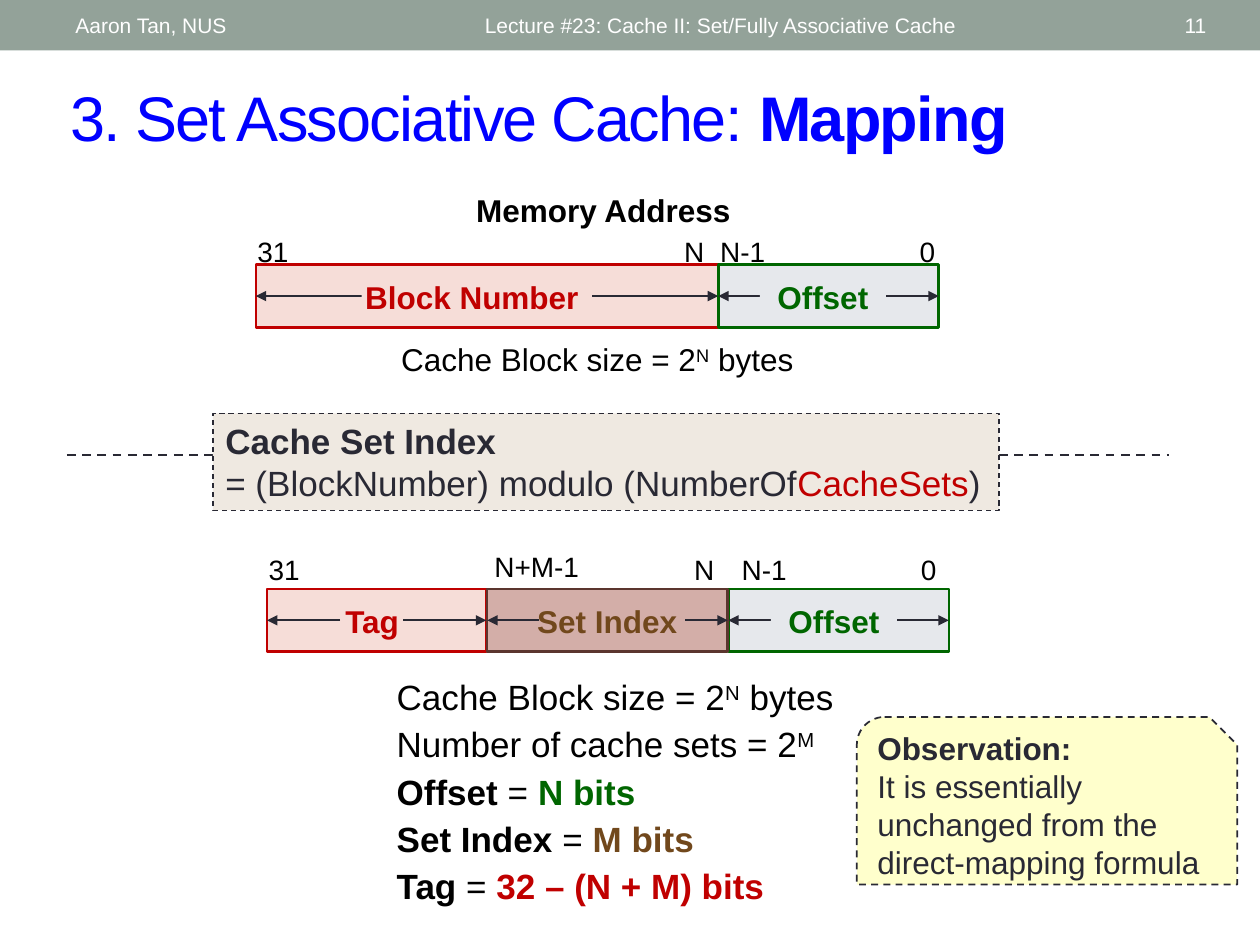
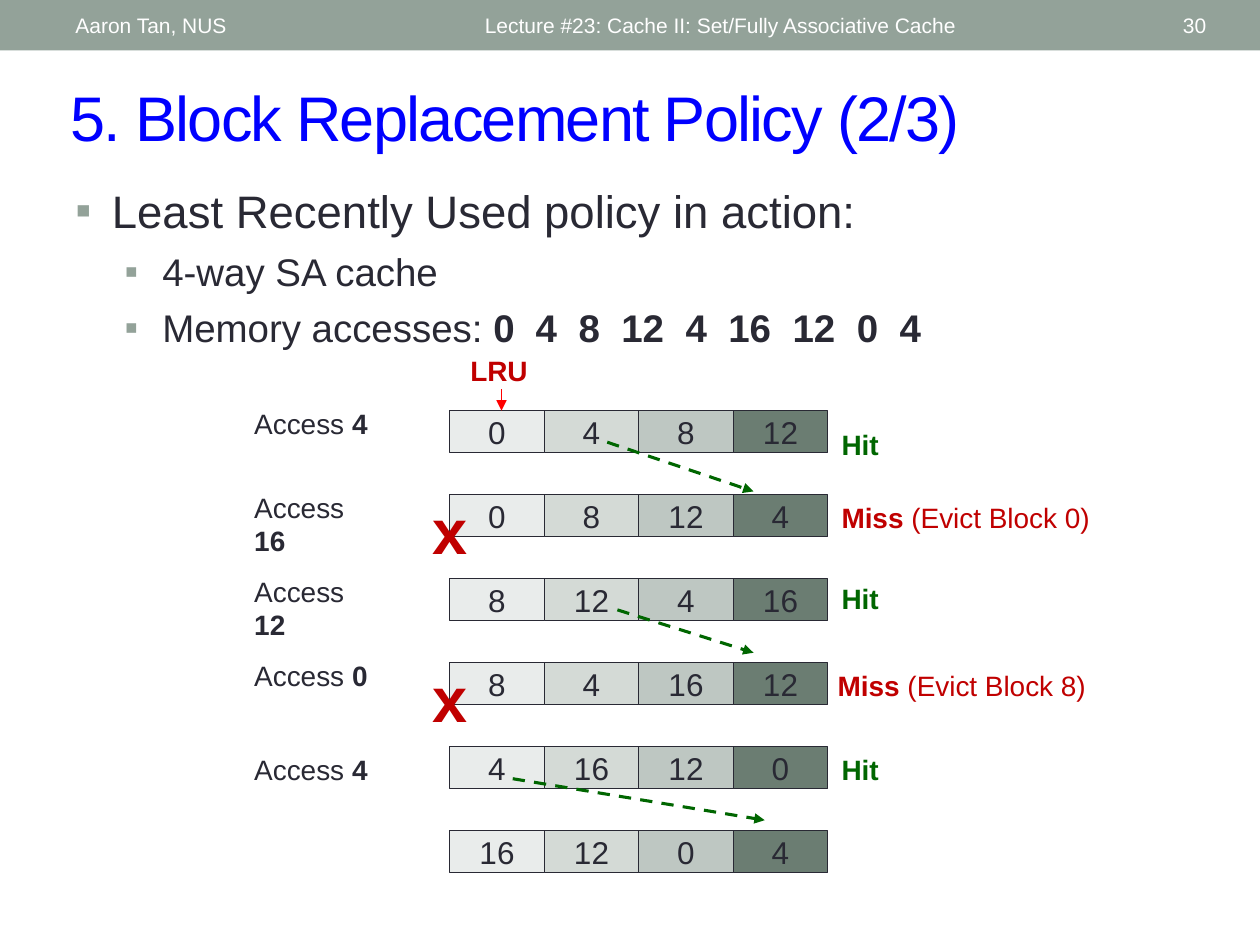
from dataclasses import dataclass
from itertools import accumulate
from typing import Optional

from lxml.etree import SubElement
from pptx import Presentation
from pptx.dml.color import RGBColor
from pptx.enum.dml import MSO_LINE
from pptx.enum.shapes import MSO_CONNECTOR, MSO_SHAPE
from pptx.enum.text import MSO_ANCHOR, MSO_AUTO_SIZE, PP_ALIGN
from pptx.oxml.ns import qn
from pptx.util import Pt

FONT = "Arial"
BAND = RGBColor(0x93, 0xA2, 0x99)
WHITE = RGBColor(0xFF, 0xFF, 0xFF)
BLACK = RGBColor(0, 0, 0)
BLUE = RGBColor(0, 0, 0xFF)
INK = RGBColor(0x29, 0x29, 0x34)
RED = RGBColor(0xC0, 0, 0)
BRIGHT_RED = RGBColor(0xFF, 0, 0)
GREEN = RGBColor(0, 0x66, 0)
BROWN = RGBColor(0x71, 0x48, 0x1C)
DARK_BROWN = RGBColor(0x5B, 0x35, 0x2E)
PINK = RGBColor(0xF6, 0xDD, 0xD8)
ROSE = RGBColor(0xD3, 0xAE, 0xA8)
PALE_GRAY = RGBColor(0xE6, 0xE8, 0xEC)
BEIGE = RGBColor(0xEF, 0xE9, 0xE1)
YELLOW = RGBColor(0xFF, 0xFF, 0xCC)
AGE_FILLS = [RGBColor(0xE9, 0xEC, 0xEB), RGBColor(0xD4, 0xDA, 0xD6),
             RGBColor(0xBE, 0xC7, 0xC2), RGBColor(0x6B, 0x7D, 0x72)]

CELL_LEFT, CELL_WIDTH, CELL_HEIGHT = 257, 54, 24
CACHE_TOP, CACHE_STEP = 234.6, 48


@dataclass
class Run:
    text: str
    color: RGBColor = BLACK
    bold: bool = False
    superscript: bool = False


@dataclass
class Box:
    left: float
    top: float
    width: float
    height: float

    def lengths(self) -> list:
        return [Pt(value) for value in (self.left, self.top, self.width, self.height)]


@dataclass
class Field:
    """A part of an address; without a gap one line runs behind its filled label."""
    name: str
    left: float
    width: float
    fill: RGBColor
    line: RGBColor
    color: RGBColor
    label_left: float
    label_width: float
    gap: Optional[tuple] = None


@dataclass
class BitLabel:
    text: str
    left: float
    width: float
    rise: float = 0


@dataclass
class Access:
    block: str
    cache: list
    result: list
    label_shift: float = -6
    result_shift: float = 0
    result_left: float = 473.8


def add_run(paragraph, run: Run, size: float):
    text_run = paragraph.add_run()
    text_run.text = run.text
    font = text_run.font
    font.name, font.size, font.bold = FONT, Pt(size), run.bold
    font.color.rgb = run.color
    properties = text_run._r.get_or_add_rPr()
    if run.superscript:
        properties.set("baseline", "30000")
    return properties


def write(shape, lines: list, size: float, align=PP_ALIGN.LEFT, wrap=False,
          anchor=MSO_ANCHOR.TOP, gap: float = 0) -> None:
    frame = shape.text_frame
    frame.word_wrap, frame.vertical_anchor = wrap, anchor
    for number, runs in enumerate(lines):
        paragraph = frame.add_paragraph() if number else frame.paragraphs[0]
        paragraph.alignment = align
        if number and gap:
            paragraph.space_before = Pt(gap)
        for run in runs:
            add_run(paragraph, run, size)


def add_text(slide, box: Box, lines: list, size: float, **options):
    shape = slide.shapes.add_textbox(*box.lengths())
    write(shape, lines, size, **options)
    return shape


def add_box(slide, box: Box, fill: RGBColor, line: Optional[RGBColor] = None,
            width: float = 0.75, dashed=False, kind=MSO_SHAPE.RECTANGLE):
    shape = slide.shapes.add_shape(kind, *box.lengths())
    shape.shadow.inherit = False
    shape.fill.solid()
    shape.fill.fore_color.rgb = fill
    if line is None:
        shape.line.fill.background()
    else:
        shape.line.color.rgb = line
        shape.line.width = Pt(width)
        if dashed:
            shape.line.dash_style = MSO_LINE.DASH
    return shape


def add_line(slide, start: tuple, end: tuple, color=INK, width: float = 1,
             dashed=False, heads=("tailEnd",)):
    points = [Pt(value) for value in (*start, *end)]
    connector = slide.shapes.add_connector(MSO_CONNECTOR.STRAIGHT, *points)
    connector.line.color.rgb = color
    connector.line.width = Pt(width)
    if dashed:
        connector.line.dash_style = MSO_LINE.DASH
    properties = connector._element.spPr
    for head in heads:
        SubElement(properties.find(qn("a:ln")), qn(f"a:{head}"), type="triangle")
    SubElement(properties, qn("a:effectLst"))
    return connector


def start_slide(presentation, title: list, number: int):
    slide = presentation.slides.add_slide(presentation.slide_layouts[5])
    add_box(slide, Box(0, 0, 720, 28.8), BAND)
    placeholder = slide.shapes.title
    placeholder.left, placeholder.top, placeholder.width, placeholder.height = (
        Box(33.1, 41, 663, 50.4).lengths())
    frame = placeholder.text_frame
    frame.auto_size = MSO_AUTO_SIZE.NONE
    frame.word_wrap, frame.vertical_anchor = True, MSO_ANCHOR.MIDDLE
    paragraph = frame.paragraphs[0]
    paragraph.alignment = PP_ALIGN.LEFT
    for run in title:
        add_run(paragraph, run, 36).set("spc", "-100")
    for text, left, width, align in [
            ("Aaron Tan, NUS", 36, 228, PP_ALIGN.LEFT),
            ("Lecture #23: Cache II: Set/Fully Associative Cache", 270, 324, PP_ALIGN.LEFT),
            (str(number), 628, 68.4, PP_ALIGN.RIGHT)]:
        add_text(slide, Box(left, 1.6, width, 26), [[Run(text, WHITE)]], 12,
                 align=align, wrap=True, anchor=MSO_ANCHOR.MIDDLE)
    return slide


def add_address(slide, top: float, fields: list, bits_top: float, bits: list) -> None:
    height = 36
    middle = top + height / 2
    for field in fields:
        right = field.left + field.width
        rectangle = add_box(slide, Box(field.left, top, field.width, height),
                            field.fill, field.line, 1.5)
        label_box = Box(field.label_left, top + 4, field.label_width, 28.8)
        if field.gap:
            for inner, outer, side in zip(field.gap, (field.left, right), (1, 3)):
                arrow = add_line(slide, (inner, middle), (outer, middle))
                arrow.end_connect(rectangle, side)
            label = slide.shapes.add_textbox(*label_box.lengths())
        else:
            arrow = add_line(slide, (right, middle), (field.left, middle),
                             heads=("headEnd", "tailEnd"))
            arrow.begin_connect(rectangle, 3)
            arrow.end_connect(rectangle, 1)
            label = add_box(slide, label_box, field.fill)
        write(label, [[Run(field.name, field.color, True)]], 18, align=PP_ALIGN.CENTER)
    for bit in bits:
        add_text(slide, Box(bit.left, bits_top - bit.rise, bit.width, 26.6),
                 [[Run(bit.text)]], 16, align=PP_ALIGN.CENTER)


def build_mapping(presentation) -> None:
    slide = start_slide(presentation, [Run("3. Set Associative Cache: ", BLUE),
                                       Run("Mapping", BLUE, True)], 11)
    block_size = [Run("Cache Block size = 2"), Run("N", superscript=True), Run(" bytes")]
    add_text(slide, Box(264.2, 105.8, 161.3, 28.8), [[Run("Memory Address", bold=True)]],
             18, align=PP_ALIGN.CENTER)
    add_address(
        slide, 151.2,
        [Field("Block Number", 146.2, 264.2, PINK, RED, RED, 200.9, 137.5, (206.6, 338.4)),
         Field("Offset", 410.4, 126, PALE_GRAY, GREEN, GREEN, 434.2, 72)],
        130.3,
        [BitLabel("31", 139.7, 32.4), BitLabel("N", 383.8, 25.9),
         BitLabel("N-1", 403.9, 41), BitLabel("0", 517.7, 24.5)])
    add_text(slide, Box(164.2, 190.8, 354.2, 28.8), [block_size], 18,
             align=PP_ALIGN.CENTER, wrap=True)

    add_line(slide, (38.2, 260), (668.2, 260), width=1.25, dashed=True, heads=())
    formula = add_box(slide, Box(121.7, 236.2, 449.3, 55.4), BEIGE, INK, dashed=True)
    write(formula, [[Run("Cache Set Index", INK, True)],
                    [Run("= (BlockNumber) modulo (NumberOf", INK),
                     Run("CacheSets", RED), Run(")", INK)]], 20)

    add_address(
        slide, 336.5,
        [Field("Tag", 152.6, 125.3, PINK, RED, RED, 188.6, 48.2, (194.4, 230.4)),
         Field("Offset", 416.2, 126, PALE_GRAY, GREEN, GREEN, 440.6, 72),
         Field("Set Index", 278.4, 137.5, ROSE, DARK_BROWN, BROWN, 295.9, 102.2,
               (308.2, 391.7))],
        312.5,
        [BitLabel("31", 146.2, 32.4), BitLabel("N+M-1", 275, 63.4, 2.2),
         BitLabel("N", 389.5, 25.9), BitLabel("N-1", 416.2, 41),
         BitLabel("0", 518.4, 24.5)])

    sizes = [("Offset", "N bits", GREEN), ("Set Index", "M bits", BROWN),
             ("Tag", "32 – (N + M) bits", RED)]
    add_text(slide, Box(219.6, 382.5, 267, 138),
             [block_size,
              [Run("Number of cache sets = 2"), Run("M", superscript=True)],
              *[[Run(name, bold=True), Run(" = "), Run(bits, color, True)]
                for name, bits, color in sizes]], 20, gap=3)
    observation = add_box(slide, Box(489.6, 409.7, 217.4, 95.8), YELLOW, INK, 1, True,
                          MSO_SHAPE.SNIP_ROUND_RECTANGLE)
    write(observation,
          [[Run("Observation:", INK, True)],
           [Run("It is essentially unchanged from the direct-mapping formula", INK)]],
          18, wrap=True, anchor=MSO_ANCHOR.MIDDLE)


def add_bullet(paragraph, margin: float, hanging: float, tabs: tuple = ()) -> None:
    properties = paragraph._p.get_or_add_pPr()
    properties.set("marL", str(Pt(margin)))
    properties.set("indent", str(-Pt(hanging)))
    color = SubElement(properties, qn("a:buClr"))
    SubElement(color, qn("a:srgbClr"), val=str(BAND))
    SubElement(properties, qn("a:buFont"), typeface=FONT)
    SubElement(properties, qn("a:buChar"), char="▪")
    if tabs:
        tab_list = SubElement(properties, qn("a:tabLst"))
        for position in tabs:
            SubElement(tab_list, qn("a:tab"), pos=str(Pt(position)), algn="l")


def add_policy_bullets(slide) -> None:
    accesses = ["0", "4", "8", "12", "4", "16", "12", "0", "4"]
    digit_width, first_access = 12.23, 238.6
    stops = tuple(accumulate((digit_width * (len(block) + 1) for block in accesses[:-1]),
                             initial=first_access))[1:]
    body = add_text(slide, Box(36, 101, 606, 117),
                    [[Run("Least Recently Used policy in action:", INK)]], 26, wrap=True)
    add_bullet(body.text_frame.paragraphs[0], 20.9, 20.9)
    for runs, tabs in [([Run("4-way SA cache", INK)], ()),
                       ([Run("Memory accesses: ", INK),
                         Run("\t".join(accesses), INK, True)], stops)]:
        paragraph = body.text_frame.add_paragraph()
        paragraph.level = 1
        add_bullet(paragraph, 49.7, 21.6, tabs)
        paragraph.space_before = Pt(5.8)
        for run in runs:
            add_run(paragraph, run, 22)


def build_replacement(presentation) -> None:
    slide = start_slide(presentation, [Run("5. Block Replacement Policy (2/3)", BLUE)], 30)
    add_policy_bullets(slide)

    hit = [Run("Hit", GREEN, True)]

    def miss(block: str) -> list:
        return [Run("Miss ", RED, True), Run(f"(Evict Block {block})", RED)]

    steps = [Access("4", [0, 4, 8, 12], hit, result_shift=6),
             Access("16", [0, 8, 12, 4], miss("0")),
             Access("12", [8, 12, 4, 16], hit, result_shift=-2),
             Access("0", [8, 4, 16, 12], miss("8"), result_left=471.6),
             Access("4", [4, 16, 12, 0], hit, label_shift=0)]
    caches = [step.cache for step in steps] + [[16, 12, 0, 4]]
    tops = [CACHE_TOP + CACHE_STEP * row for row in range(len(caches))]

    for top, cache in zip(tops, caches):
        for column, (block, fill) in enumerate(zip(cache, AGE_FILLS)):
            cell = add_box(slide, Box(CELL_LEFT + CELL_WIDTH * column, top,
                                      CELL_WIDTH, CELL_HEIGHT), fill, INK)
            write(cell, [[Run(str(block), INK)]], 18, align=PP_ALIGN.CENTER,
                  anchor=MSO_ANCHOR.MIDDLE)

    for top, step in zip(tops, steps):
        add_text(slide, Box(138.2, top + step.label_shift, 85, 26.6),
                 [[Run("Access ", INK), Run(step.block, INK, True)]], 16)
        missed = step.result is not hit
        add_text(slide, Box(step.result_left, top + step.result_shift,
                            200 if missed else 36, 26.6), [step.result], 16)
        if missed:
            add_text(slide, Box(CELL_LEFT - 18, top + 10, 36, 20), [[Run("x", RED, True)]],
                     36, align=PP_ALIGN.CENTER, anchor=MSO_ANCHOR.MIDDLE)

    add_text(slide, Box(261.4, 198.7, 47.5, 26.6), [[Run("LRU", RED, True)]], 16,
             align=PP_ALIGN.CENTER)
    add_line(slide, (286.6, 222.5), (286.6, CACHE_TOP), BRIGHT_RED, 0.75)
    for start, end in [((347, 252.7), (430.6, 280.8)), ((352.8, 348.5), (430.6, 373)),
                       ((293, 445), (437, 468.7))]:
        add_line(slide, start, end, GREEN, 1.75, dashed=True)


def main() -> None:
    presentation = Presentation()
    presentation.slide_width, presentation.slide_height = Pt(720), Pt(540)
    build_mapping(presentation)
    build_replacement(presentation)
    presentation.save("out.pptx")


if __name__ == "__main__":
    main()
